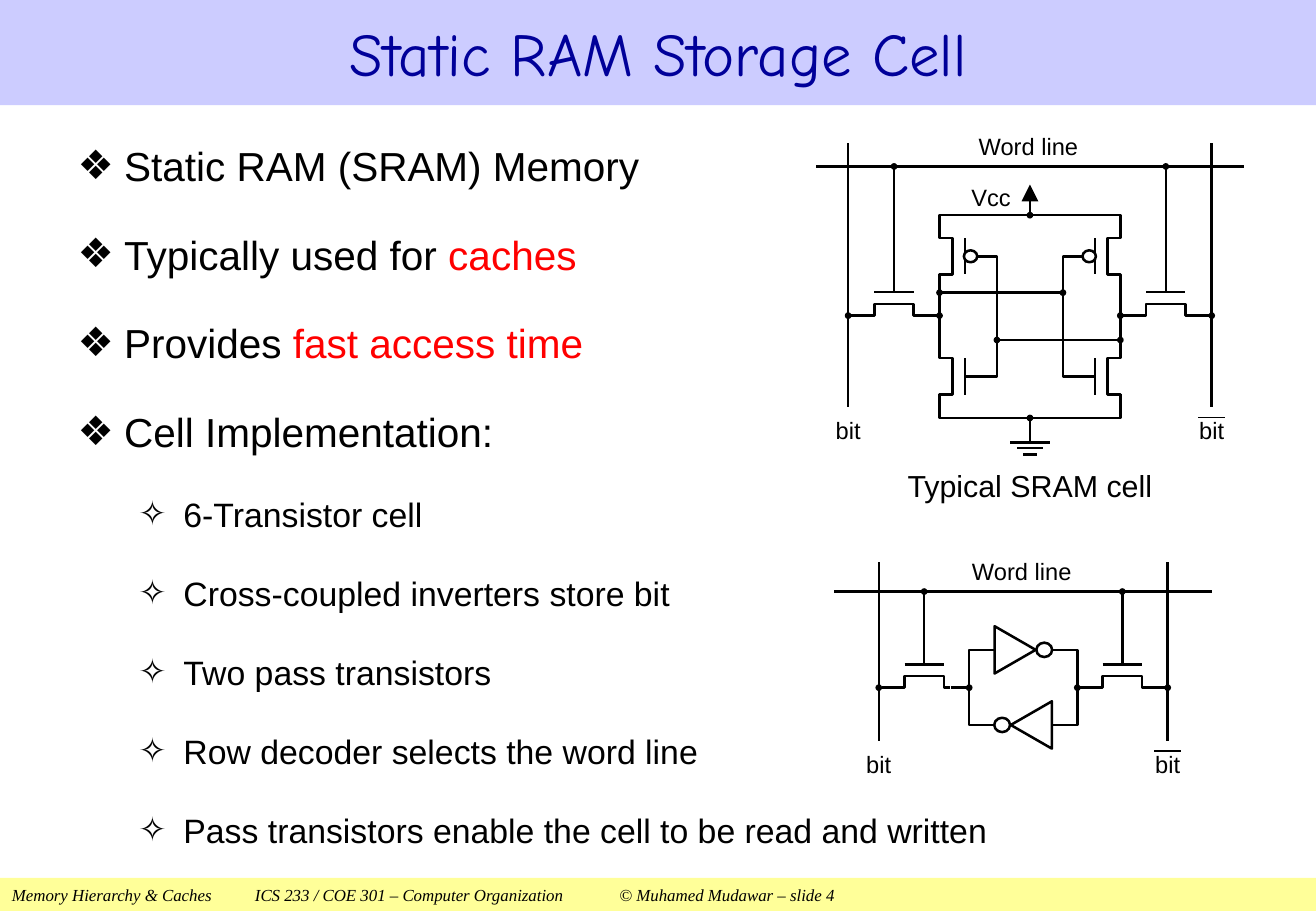
from lxml.etree import SubElement
from pptx import Presentation
from pptx.dml.color import RGBColor
from pptx.enum.shapes import MSO_CONNECTOR, MSO_SHAPE
from pptx.enum.text import MSO_ANCHOR, MSO_AUTO_SIZE, PP_ALIGN
from pptx.oxml.ns import qn
from pptx.util import Cm, Pt

COLORS = {
    "ink": "000000", "paper": "FFFFFF", "accent": "FF0000",
    "title": "000099", "title_band": "CCCCFF", "footer_band": "FFFF99",
}
WIDTH, HEIGHT = 27.51, 19.05
SIDES = (-1, 1)

# Level and (text, colour) runs of each bullet
BULLETS = [
    (0, [("Static RAM (SRAM) Memory", "ink")]),
    (0, [("Typically used for ", "ink"), ("caches", "accent")]),
    (0, [("Provides ", "ink"), ("fast access time", "accent")]),
    (0, [("Cell Implementation:", "ink")]),
    (1, [("6-Transistor cell", "ink")]),
    (1, [("Cross-coupled inverters store bit", "ink")]),
    (1, [("Two pass transistors", "ink")]),
    (1, [("Row decoder selects the word line", "ink")]),
    (1, [("Pass transistors enable the cell to be read and written", "ink")]),
]
# Bullet sign, font size, text indent and hanging indent of each level
LEVELS = [("❖", 24, 0.97, 0.97), ("✧", 20, 2.21, 0.94)]


def color(name):
    return RGBColor.from_string(COLORS[name])


class SlideBuilder:
    """Draws on one slide; lengths are in centimetres, x of circuit parts is relative to axis."""

    def __init__(self, slide):
        self.slide = slide
        self.shapes = slide.shapes
        self.axis = 0
        self.font = "Arial"
        self.line_width = 1.5

    def style_run(self, run, size, ink="ink", font=None):
        run.font.name = font or self.font
        run.font.size = Pt(size)
        run.font.color.rgb = color(ink)

    def place(self, shape, left, top, width, height):
        shape.left, shape.top = Cm(left), Cm(top)
        shape.width, shape.height = Cm(width), Cm(height)

    def outline(self, shape):
        shape.shadow.inherit = False
        shape.line.color.rgb = color("ink")
        shape.line.width = Pt(self.line_width)

    def title(self, text):
        title = self.shapes.title
        self.place(title, 0, 0, WIDTH, 2.2)
        title.fill.solid()
        title.fill.fore_color.rgb = color("title_band")
        frame = title.text_frame
        frame.text = text
        frame.auto_size = MSO_AUTO_SIZE.NONE
        frame.vertical_anchor = MSO_ANCHOR.MIDDLE
        frame.paragraphs[0].alignment = PP_ALIGN.CENTER
        self.style_run(frame.paragraphs[0].runs[0], 36, "title", "Comic Neue")

    def bullet_list(self, items):
        body = self.slide.placeholders[1]
        self.place(body, 1.37, 2.62, 24.77, 15.39)
        frame = body.text_frame
        frame.auto_size = MSO_AUTO_SIZE.NONE
        for index, (level, runs) in enumerate(items):
            paragraph = frame.add_paragraph() if index else frame.paragraphs[0]
            sign, size, indent, hanging = LEVELS[level]
            paragraph.level = level
            paragraph.line_spacing = 1.2
            paragraph.space_before = Pt(18)
            for text, ink in runs:
                run = paragraph.add_run()
                run.text = text
                self.style_run(run, size, ink)
            properties = paragraph._p.get_or_add_pPr()
            properties.set("marL", str(Cm(indent)))
            properties.set("indent", str(-Cm(hanging)))
            SubElement(properties, qn("a:buFont"), typeface=self.font)
            SubElement(properties, qn("a:buChar"), char=sign)

    def footer(self, text):
        band = self.shapes.add_shape(MSO_SHAPE.RECTANGLE, 0, Cm(18.36), Cm(WIDTH), Cm(0.69))
        band.shadow.inherit = False
        band.fill.solid()
        band.fill.fore_color.rgb = color("footer_band")
        band.line.fill.background()
        band.text_frame.text = text
        paragraph = band.text_frame.paragraphs[0]
        paragraph.alignment = PP_ALIGN.LEFT
        for run in paragraph.runs:
            self.style_run(run, 10, font="Times New Roman")
            run.font.italic = True

    def label(self, text, x, top, width, height, size=14):
        box = self.shapes.add_textbox(
            Cm(self.axis + x - width / 2), Cm(top), Cm(width), Cm(height))
        frame = box.text_frame
        frame.word_wrap = True
        frame.vertical_anchor = MSO_ANCHOR.MIDDLE
        frame.margin_left = frame.margin_right = frame.margin_top = frame.margin_bottom = 0
        frame.text = text
        frame.paragraphs[0].alignment = PP_ALIGN.CENTER
        self.style_run(frame.paragraphs[0].runs[0], size)

    def wire(self, x1, y1, x2, y2, head=None, tail=None, width=None):
        connector = self.shapes.add_connector(
            MSO_CONNECTOR.STRAIGHT, Cm(self.axis + x1), Cm(y1), Cm(self.axis + x2), Cm(y2))
        connector.line.color.rgb = color("ink")
        connector.line.width = Pt(width or self.line_width)
        line = connector.line._get_or_add_ln()
        for tag, kind in (("a:headEnd", head), ("a:tailEnd", tail)):
            if kind:
                size = "lg" if kind == "triangle" else "sm"
                SubElement(line, qn(tag), type=kind, w=size, len=size)
        SubElement(connector._element.spPr, qn("a:effectLst"))

    def path_line(self, *points):
        corners = [(Cm(self.axis + x), Cm(y)) for x, y in points]
        builder = self.shapes.build_freeform(*corners[0], scale=1.0)
        builder.add_line_segments(corners[1:], close=False)
        shape = builder.convert_to_shape()
        shape.fill.background()
        self.outline(shape)

    def symbol(self, kind, x, y, width, height, rotation=0):
        shape = self.shapes.add_shape(
            kind, Cm(self.axis + x - width / 2), Cm(y - height / 2), Cm(width), Cm(height))
        shape.rotation = rotation
        shape.fill.solid()
        shape.fill.fore_color.rgb = color("paper")
        self.outline(shape)

    def pass_transistor(self, x, y, word_y, inner, outer):
        """Transistor between the storage node (inner) and the bit line (outer)."""
        plate, channel = y - 0.49, y - 0.24
        self.path_line((x - 0.55, y), (x - 0.41, y), (x - 0.41, channel),
                       (x + 0.41, channel), (x + 0.41, y), (x + 0.55, y))
        self.wire(x - 0.41, plate, x + 0.41, plate)
        self.wire(x, word_y, x, plate, head="oval")
        side = 1 if x > 0 else -1
        self.wire(x - side * 0.55, y, inner, y, tail="oval")
        self.wire(x + side * 0.55, y, outer, y, tail="oval")

    def cell_frame(self, word_y, bit_top, bit_bottom, node_y, word_x, bit_x, access_x, node_x):
        """Word line, bit lines, their labels and the two pass transistors."""
        self.wire(-word_x, word_y, word_x, word_y)
        self.label("Word line", -0.03, word_y - 0.74, 3.38, 0.64)
        for side in SIDES:
            self.wire(side * bit_x, bit_top, side * bit_x, bit_bottom)
            self.label("bit", side * bit_x, bit_bottom + 0.1, 0.81, 0.76)
            self.pass_transistor(side * access_x, node_y, word_y, side * node_x, side * bit_x)
        self.wire(bit_x - 0.28, bit_bottom + 0.22, bit_x + 0.28, bit_bottom + 0.22, width=1)

    def inverter(self, direction, y):
        self.symbol(MSO_SHAPE.ISOSCELES_TRIANGLE, -direction * 0.17, y, 0.99, 0.86,
                    90 if direction > 0 else 270)
        self.symbol(MSO_SHAPE.OVAL, direction * 0.44, y, 0.33, 0.3)

    def transistor_cell(self):
        node, channel, gate, bus = 1.89, 1.62, 1.36, 0.69
        vcc, ground, upper, lower = 4.5, 8.74, 5.36, 7.87
        self.cell_frame(3.48, 3, 8.51, 6.6, 4.47, 3.8, 2.84, node)
        for side in SIDES:
            for y in (upper, lower):
                self.path_line(*((side * x, y + dy) for x, dy in (
                    (node, -0.49), (node, -0.38), (channel, -0.38),
                    (channel, 0.38), (node, 0.38), (node, 0.49))))
                self.wire(side * gate, y - 0.38, side * gate, y + 0.38)
            self.wire(side * node, upper + 0.49, side * node, lower - 0.49)
            self.path_line((side * 1.1, upper), (side * bus, upper),
                           (side * bus, lower), (side * gate, lower))
            self.symbol(MSO_SHAPE.OVAL, side * 1.24, upper, 0.28, 0.25)
        for rail, end in ((vcc, upper - 0.38), (ground, lower + 0.38)):
            self.path_line((-node, end), (-node, rail), (node, rail), (node, end))
        self.wire(-node, 6.12, bus, 6.12, "oval", "oval")
        self.wire(-bus, 7.11, node, 7.11, "oval", "oval")
        self.wire(0, vcc, 0, 3.86, "oval", "triangle")
        self.wire(0, ground, 0, 9.25, "oval")
        for y, half in ((9.25, 0.41), (9.37, 0.27), (9.5, 0.14)):
            self.wire(-half, y, half, y)
        self.label("Vcc", -0.81, 3.86, 1.63, 0.51)
        self.label("Typical SRAM cell", 0, 9.63, 5.97, 1.02, 18)

    def inverter_cell(self):
        node, upper, lower = 1.13, 13.59, 15.16
        self.cell_frame(12.37, 11.76, 15.49, 14.38, 3.95, 3.02, 2.07, node)
        for side in SIDES:
            self.path_line((side * 0.61, upper), (side * node, upper),
                           (side * node, lower), (side * 0.61, lower))
        self.inverter(1, upper)
        self.inverter(-1, lower)


def main():
    presentation = Presentation()
    presentation.slide_width, presentation.slide_height = Cm(WIDTH), Cm(HEIGHT)
    builder = SlideBuilder(presentation.slides.add_slide(presentation.slide_layouts[1]))
    builder.footer("Memory Hierarchy & Caches\tICS 233 / COE 301 – Computer Organization"
                   "\t© Muhamed Mudawar – slide 4")
    builder.title("Static RAM Storage Cell")
    builder.bullet_list(BULLETS)
    builder.axis = 21.53
    builder.transistor_cell()
    builder.axis = 21.39
    builder.inverter_cell()
    presentation.save("out.pptx")


if __name__ == "__main__":
    main()
